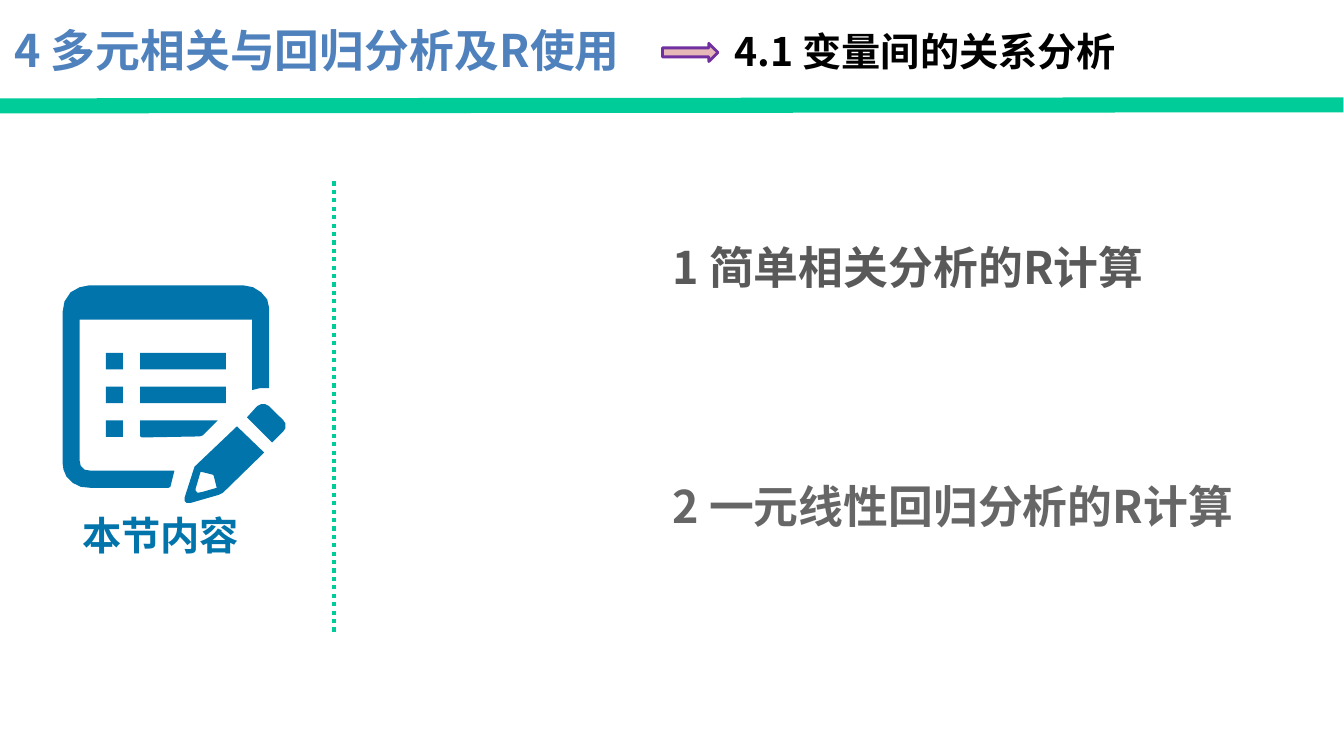
import pptx
import pptx.util
import pptx.dml.color
import pptx.enum.dml
import pptx.enum.shapes
import pptx.enum.text
import pptx.oxml.ns
import lxml.etree

Inches = pptx.util.Inches
qn = pptx.oxml.ns.qn
SHAPE = pptx.enum.shapes.MSO_SHAPE
ALIGN = pptx.enum.text.PP_ALIGN
FONT = "Noto Sans CJK SC"
GREEN, BLUE = "00CC99", "0174AB"


def rgb(value):
    return pptx.dml.color.RGBColor.from_string(value)


def write(sp, box, text, size, color, align=ALIGN.LEFT):
    """Place a text holder and fill it with one bold, top-anchored paragraph."""
    sp.left, sp.top, sp.width, sp.height = [Inches(v) for v in box]
    tf = sp.text_frame
    tf.word_wrap = True
    tf.auto_size = pptx.enum.text.MSO_AUTO_SIZE.SHAPE_TO_FIT_TEXT
    tf.vertical_anchor = pptx.enum.text.MSO_ANCHOR.TOP
    p = tf.paragraphs[0]
    p.alignment = align
    p.space_before = pptx.util.Pt(0)
    r = p.add_run()
    r.text = text
    r.font.color.rgb = rgb(color)
    for name, value in {"size": pptx.util.Pt(size), "bold": True, "name": FONT}.items():
        setattr(r.font, name, value)
    lxml.etree.SubElement(r.font._element, qn("a:ea")).set("typeface", FONT)


prs = pptx.Presentation()
prs.slide_width, prs.slide_height = Inches(13.33), Inches(7.5)
s = prs.slides.add_slide(prs.slide_layouts[3])

# Header rule and dotted divider
for x1, y1, x2, y2, width, dash, cap in [
    (0.07, 1.05, 13.25, 1.04, 10.75, pptx.enum.dml.MSO_LINE.SOLID, "sq"),
    (3.31, 1.8, 3.31, 6.29, 3, pptx.enum.dml.MSO_LINE.ROUND_DOT, "flat"),
]:
    c = s.shapes.add_connector(pptx.enum.shapes.MSO_CONNECTOR.STRAIGHT,
                               Inches(x1), Inches(y1), Inches(x2), Inches(y2))
    c.line.color.rgb = rgb(GREEN)
    c.line.width = pptx.util.Pt(width)
    c.line.dash_style = dash
    spPr = c.element.spPr
    spPr.find(qn("a:ln")).set("cap", cap)
    lxml.etree.SubElement(spPr, qn("a:effectLst"))

# Notepad icon: outlines in hundredths of an inch, each a list of contours
page = [(173, 467), (169, 483), (167, 484), (90, 484), (80, 483), (72, 479),
        (66, 473), (63, 466), (62, 459), (62, 310), (64, 299), (70, 290),
        (79, 285), (89, 283), (241, 283), (251, 285), (259, 290), (265, 297),
        (267, 306), (267, 385), (258, 385), (250, 387), (250, 317), (79, 317),
        (79, 457), (80, 462), (84, 466), (90, 467)]
pencil = [(235, 423), (262, 449), (221, 489), (217, 491), (189, 499),
          (185, 499), (183, 497), (183, 494), (192, 466), (193, 463)]
pencil_tip = [(199, 468), (194, 485), (194, 487), (196, 489), (201, 488),
              (215, 484), (212, 472), (211, 471)]
eraser = [(245, 414), (255, 403), (259, 401), (263, 401), (267, 403),
          (281, 417), (283, 420), (283, 425), (281, 428), (270, 439)]
short_bar = [(139, 417), (216, 417), (201, 432), (198, 433), (141, 434), (139, 433)]
icon = []
for contours in [[page], [pencil, pencil_tip], [eraser], [short_bar]]:
    fb = s.shapes.build_freeform(*contours[0][0], scale=Inches(0.01))
    fb.add_line_segments(contours[0][1:], close=True)
    for hole in contours[1:]:
        fb.move_to(*hole[0])
        fb.add_line_segments(hole[1:], close=True)
    icon.append(fb.convert_to_shape())

rows = [3.5 + 0.335 * i for i in range(3)]
blocks = [(1.05, y, 0.17) for y in rows] + [(1.39, y, 0.85) for y in rows[:2]]
for x, y, w in blocks:
    icon.append(s.shapes.add_shape(SHAPE.RECTANGLE, Inches(x), Inches(y),
                                   Inches(w), Inches(0.165)))
for sp in icon:
    sp.shadow.inherit = False
    sp.fill.solid()
    sp.fill.fore_color.rgb = rgb(BLUE)
    sp.line.fill.background()

# Header
write(s.shapes.title, (0.04, 0.18, 6.53, 0.67), "4 多元相关与回归分析及R使用", 32, "4F81BD")
arrow = s.shapes.add_shape(SHAPE.RIGHT_ARROW, Inches(6.57), Inches(0.43),
                           Inches(0.55), Inches(0.18))
arrow.shadow.inherit = False
arrow.fill.solid()
arrow.fill.fore_color.rgb = rgb("E6B9B8")
arrow.line.color.rgb = rgb("7030A0")
arrow.line.width = pptx.util.Pt(2)

for box, text, color, align in [
    ((7.19, 0.22, 5.96, 0.6), "4.1 变量间的关系分析", "000000", ALIGN.LEFT),
    ((0.08, 5.02, 3.03, 0.6), "本节内容", BLUE, ALIGN.CENTER),
]:
    write(s.shapes.add_textbox(0, 0, 0, 0), box, text, 28, color, align)

# Section contents
for idx, y, w, text, color in [
    (1, 2.33, 4.92, "1 简单相关分析的R计算", "595959"),
    (2, 4.7, 5.81, "2 一元线性回归分析的R计算", "666666"),
]:
    sp = s.placeholders[idx]
    pPr = sp.text_frame.paragraphs[0]._p.get_or_add_pPr()
    pPr.set("marL", "0")
    pPr.set("indent", "0")
    lxml.etree.SubElement(pPr, qn("a:buNone"))
    write(sp, (6.57, y, w, 0.67), text, 32, color)

prs.save("out.pptx")
